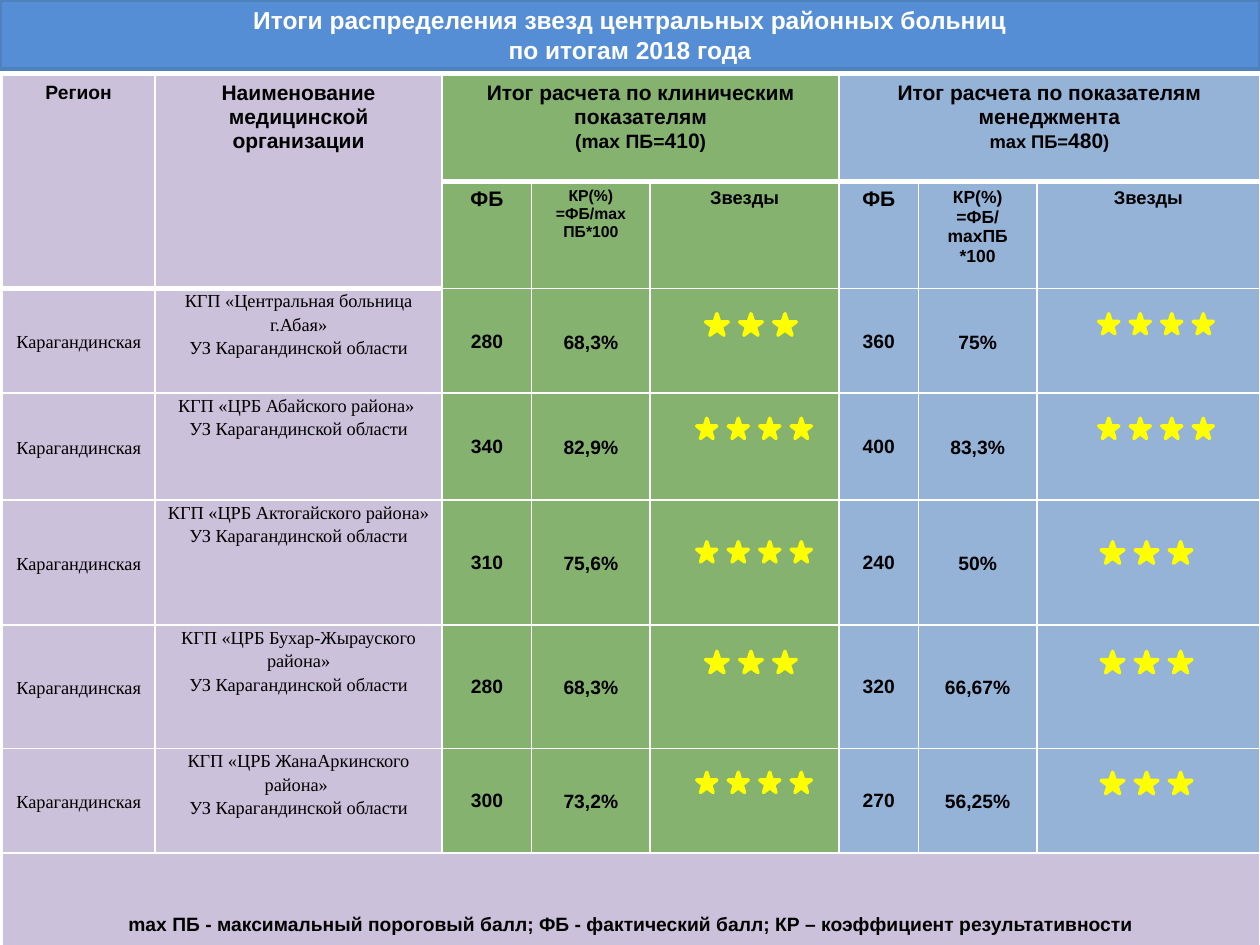
from dataclasses import dataclass

from lxml import etree
from pptx import Presentation
from pptx.dml.color import RGBColor
from pptx.enum.shapes import MSO_SHAPE
from pptx.enum.text import MSO_ANCHOR, MSO_AUTO_SIZE, PP_ALIGN
from pptx.oxml.ns import qn
from pptx.util import Inches, Pt

CENTER = PP_ALIGN.CENTER
TOP, MIDDLE = MSO_ANCHOR.TOP, MSO_ANCHOR.MIDDLE
STAR = MSO_SHAPE.STAR_5_POINT
TITLE_ONLY = 5


@dataclass(frozen=True)
class Theme:
    title_fill: str = "558ED5"
    title_line: str = "4F81BD"
    white: str = "FFFFFF"
    black: str = "000000"
    lilac: str = "CCC1DA"
    green: str = "85B26E"
    blue: str = "95B3D7"
    star: str = "FFFF00"
    sans: str = "Arial"
    serif: str = "Times New Roman"
    title_size: float = 14
    large: float = 12
    body: float = 11
    small: float = 10.5
    formula: float = 10
    tiny: float = 9


THEME = Theme()


@dataclass(frozen=True)
class CellStyle:
    font: str = THEME.sans
    bold: bool = True
    anchor: MSO_ANCHOR = TOP
    spacing: float = 1.0
    margins: tuple = (0.1, 0.05, 0.1, 0.05)


HEADING = CellStyle()
SCORE = CellStyle(anchor=MIDDLE, margins=(0.01, 0.01, 0.01, 0))
RATIO = CellStyle(anchor=MIDDLE, spacing=1.15, margins=(0.07, 0, 0.07, 0))
HOSPITAL = CellStyle(THEME.serif, False, TOP, 1.15, RATIO.margins)
REGION = CellStyle(THEME.serif, False, MIDDLE, 1.15, RATIO.margins)

TABLE_LEFT, TABLE_TOP = 0.02, 0.6
COLUMN_WIDTHS = [1.21, 2.28, 0.71, 0.94, 1.5, 0.63, 0.94, 1.77]
ROW_HEIGHTS = [0.84, 0.85, 0.83, 0.85, 0.99, 0.98, 0.83, 1.11]
COLUMN_FILLS = [THEME.lilac] * 2 + [THEME.green] * 3 + [THEME.blue] * 3
FIRST_DATA_ROW = 2
FOOTER_ROW = 7
MERGES = [((0, 0), (1, 0)), ((0, 1), (1, 1)), ((0, 2), (0, 4)),
          ((0, 5), (0, 7)), ((FOOTER_ROW, 0), (FOOTER_ROW, 7))]

# Each heading is a list of paragraphs, each paragraph a list of (text, size).
HEADINGS = {
    (0, 0): [[("Регион", THEME.body)]],
    (0, 1): [[("Наименование медицинской организации", THEME.large)]],
    (0, 2): [[("Итог расчета по клиническим показателям", THEME.large)],
             [("(mах ПБ=", THEME.body), ("410", THEME.large), (")", THEME.body)]],
    (0, 5): [[("Итог расчета по показателям менеджмента", THEME.large)],
             [("mах ПБ=", THEME.small), ("480", THEME.large), (")", THEME.small)]],
    (1, 2): [[("ФБ", THEME.large)]],
    (1, 3): [[("КР(%)", THEME.tiny)], [("=ФБ/mах ПБ*100", THEME.tiny)]],
    (1, 4): [[("Звезды", THEME.small)]],
    (1, 5): [[("ФБ", THEME.large)]],
    (1, 6): [[("КР(%)", THEME.formula)], [("=ФБ/mахПБ *100", THEME.formula)]],
    (1, 7): [[("Звезды", THEME.small)]],
}
REGION_NAME = "Карагандинская"
AUTHORITY = "УЗ Карагандинской области"
FOOTER = ("mах ПБ - максимальный пороговый балл; ФБ - фактический балл; "
          "КР – коэффициент результативности")

# Hospital, clinical (score, ratio, stars), management (same), top of the stars
RESULTS = [
    ("КГП «Центральная больница г.Абая»", ("280", "68,3%", 3), ("360", "75%", 4), 2.49),
    ("КГП «ЦРБ Абайского района» ", ("340", "82,9%", 4), ("400", "83,3%", 4), 3.32),
    ("КГП «ЦРБ Актогайского района»", ("310", "75,6%", 4), ("240", "50%", 3), 4.3),
    ("КГП «ЦРБ Бухар-Жырауского района»", ("280", "68,3%", 3), ("320", "66,67%", 3), 5.17),
    ("КГП «ЦРБ ЖанаАркинского района» ", ("300", "73,2%", 4), ("270", "56,25%", 3), 6.13),
]
SCORE_COLUMNS = (2, 5)
STAR_LEFTS = ({3: 5.6, 4: 5.53}, {3: 8.74, 4: 8.72})
STAR_SIZES = {3: (0.18, 0.17, 0.27), 4: (0.16, 0.16, 0.25)}  # width, height, pitch


def color(value):
    return RGBColor.from_string(value)


def format_shape(shape, fill, line):
    shape.shadow.inherit = False
    shape.fill.solid()
    shape.fill.fore_color.rgb = color(fill)
    shape.line.color.rgb = color(line)
    shape.line.width = Pt(2)


def format_font(font, size, name, bold, fill):
    values = {"size": Pt(size), "name": name, "bold": bold}
    for key, value in values.items():
        setattr(font, key, value)
    font.color.rgb = color(fill)


def add_title(page):
    title = page.shapes.title
    place = {"left": 0, "top": 0, "width": 10, "height": 0.55}
    for key, value in place.items():
        setattr(title, key, Inches(value))
    format_shape(title, THEME.title_fill, THEME.title_line)
    frame = title.text_frame
    frame.text = "Итоги распределения звезд центральных районных больниц\vпо итогам 2018 года"
    frame.word_wrap = True
    frame.auto_size = MSO_AUTO_SIZE.NONE
    frame.vertical_anchor = MIDDLE
    para = frame.paragraphs[0]
    para.alignment = CENTER
    for span in para.runs:
        format_font(span.font, THEME.title_size, THEME.sans, True, THEME.white)


def format_cell(cell, fill, bottom_width):
    """Draw the white borders first, since the fill must follow them in the XML."""
    properties = cell._tc.get_or_add_tcPr()
    for side, width in (("L", 1), ("R", 1), ("T", 1), ("B", bottom_width)):
        border = etree.SubElement(properties, qn(f"a:ln{side}"), w=str(Pt(width)))
        solid = etree.SubElement(border, qn("a:solidFill"))
        etree.SubElement(solid, qn("a:srgbClr"), val=THEME.white)
    cell.fill.solid()
    cell.fill.fore_color.rgb = color(fill)


def write_cell(cell, paragraphs, style):
    cell.vertical_anchor = style.anchor
    for side, value in zip(("left", "top", "right", "bottom"), style.margins):
        setattr(cell, f"margin_{side}", Inches(value))
    frame = cell.text_frame
    for index, spans in enumerate(paragraphs):
        para = frame.add_paragraph() if index else frame.paragraphs[0]
        para.alignment = CENTER
        para.line_spacing = style.spacing
        for text, size in spans:
            span = para.add_run()
            span.text = text
            format_font(span.font, size, style.font, style.bold, THEME.black)


def add_results_table(page):
    frame = page.shapes.add_table(
        len(ROW_HEIGHTS), len(COLUMN_WIDTHS), Inches(TABLE_LEFT), Inches(TABLE_TOP),
        Inches(sum(COLUMN_WIDTHS)), Inches(sum(ROW_HEIGHTS)))
    table = frame.table
    table.first_row = table.horz_banding = False
    for column, width in zip(table.columns, COLUMN_WIDTHS):
        column.width = Inches(width)
    for row_index, height in enumerate(ROW_HEIGHTS):
        table.rows[row_index].height = Inches(height)
        for column_index, fill in enumerate(COLUMN_FILLS):
            format_cell(table.cell(row_index, column_index),
                        THEME.lilac if row_index == FOOTER_ROW else fill,
                        1 if row_index else 3)
    for first, last in MERGES:
        table.cell(*first).merge(table.cell(*last))
    for position, paragraphs in HEADINGS.items():
        write_cell(table.cell(*position), paragraphs, HEADING)
    for row, (hospital, *ratings, _) in enumerate(RESULTS, FIRST_DATA_ROW):
        write_cell(table.cell(row, 0), [[(REGION_NAME, THEME.small)]], REGION)
        write_cell(table.cell(row, 1),
                   [[(text, THEME.small)] for text in (hospital, AUTHORITY)], HOSPITAL)
        for column, (score, ratio, _) in zip(SCORE_COLUMNS, ratings):
            write_cell(table.cell(row, column), [[(score, THEME.body)]], SCORE)
            write_cell(table.cell(row, column + 1), [[(ratio, THEME.body)]], RATIO)
    write_cell(table.cell(FOOTER_ROW, 0), [[(FOOTER, THEME.body)]], RATIO)


def add_stars(page, count, left, top):
    width, height, pitch = STAR_SIZES[count]
    group = page.shapes.add_group_shape()
    for index in range(count):
        star = group.shapes.add_shape(STAR, Inches(left + index * pitch), Inches(top),
                                      Inches(width), Inches(height))
        format_shape(star, THEME.star, THEME.star)


def main():
    deck = Presentation()
    deck.slide_width, deck.slide_height = Inches(10), Inches(7.5)
    page = deck.slides.add_slide(deck.slide_layouts[TITLE_ONLY])
    add_title(page)
    add_results_table(page)
    for _, *ratings, top in RESULTS:
        for (_, _, count), lefts in zip(ratings, STAR_LEFTS):
            add_stars(page, count, lefts[count], top)
    deck.save("out.pptx")


if __name__ == "__main__":
    main()
